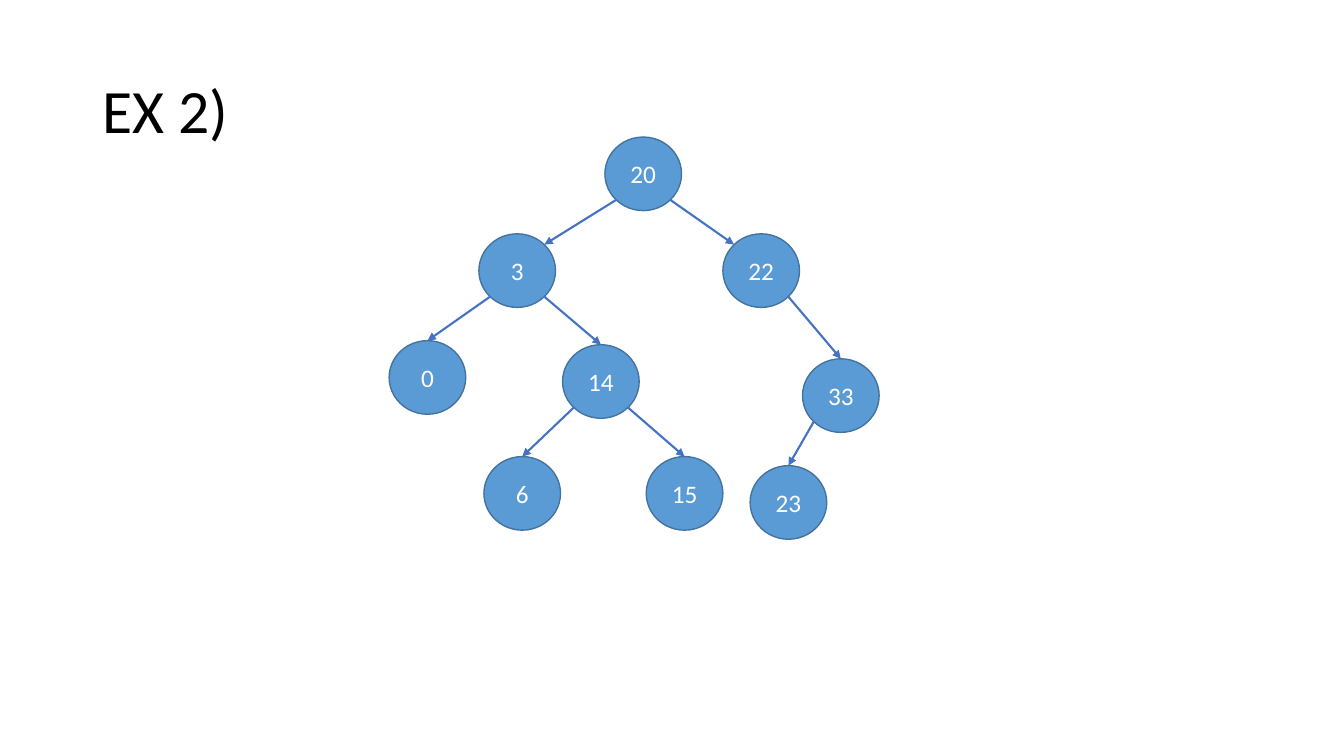
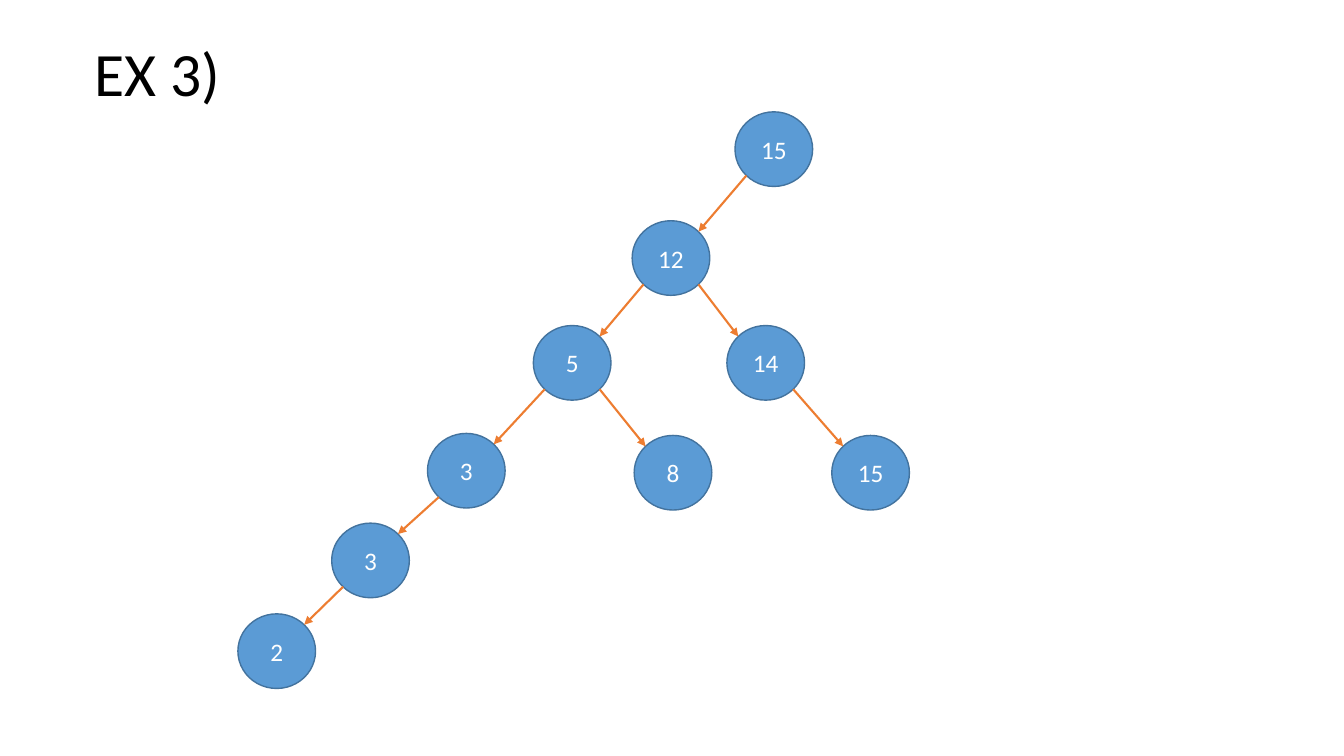
import pptx
import pptx.util
import pptx.dml.color
import pptx.enum.shapes
import pptx.enum.text
import pptx.oxml
import pptx.oxml.ns
from lxml import etree

Inches = pptx.util.Inches
Pt = pptx.util.Pt
qn = pptx.oxml.ns.qn
MIDDLE = pptx.enum.text.MSO_ANCHOR.MIDDLE
CENTER = pptx.enum.text.PP_ALIGN.CENTER
DISC = pptx.enum.shapes.MSO_SHAPE.FLOWCHART_CONNECTOR
STRAIGHT = pptx.enum.shapes.MSO_CONNECTOR.STRAIGHT

FILL, EDGE, WHITE, BLACK = "5B9BD5", "43739E", "FFFFFF", "000000"
TOP, UP_LEFT, LOW_LEFT, LOW_RIGHT, UP_RIGHT = 0, 1, 3, 5, 7
NEAR = 0.5 - 0.5 ** 1.5
FAR = 1 - NEAR
SITES = {
    TOP: (0.5, 0),
    UP_LEFT: (NEAR, NEAR),
    LOW_LEFT: (NEAR, FAR),
    LOW_RIGHT: (FAR, FAR),
    UP_RIGHT: (FAR, NEAR),
}


def color(code):
    return pptx.dml.color.RGBColor.from_string(code)


def write(shape, text, size, code):
    frame = shape.text_frame
    frame.word_wrap = True
    frame.vertical_anchor = MIDDLE
    line = frame.paragraphs[0]
    run = line.add_run()
    run.text = text
    for name, value in {"name": "Calibri", "size": Pt(size)}.items():
        setattr(run.font, name, value)
    run.font.color.rgb = color(code)
    return line


trees = [
    {
        "title": "EX 2)", "at": (0.92, 0.4), "size": (0.76, 0.73), "arrow": "4472C4",
        "nodes": [
            ("20", 6, 1.36, None, None),
            ("22", 7.17, 2.32, 0, UP_LEFT),
            ("3", 4.75, 2.32, 0, UP_RIGHT),
            ("14", 5.58, 3.42, 2, TOP),
            ("15", 6.41, 4.53, 3, TOP),
            ("6", 4.8, 4.53, 3, TOP),
            ("33", 7.96, 3.56, 1, TOP),
            ("23", 7.44, 4.62, 6, TOP),
            ("0", 3.86, 3.38, 2, TOP),
        ],
    },
    {
        "title": "EX 3)", "at": (0.84, 0.03), "size": (0.77, 0.74), "arrow": "ED7D31",
        "nodes": [
            ("15", 7.29, 1.11, None, None),
            ("12", 6.27, 2.19, 0, UP_RIGHT),
            ("5", 5.29, 3.23, 1, UP_RIGHT),
            ("14", 7.21, 3.23, 1, UP_LEFT),
            ("15", 8.25, 4.32, 3, UP_LEFT),
            ("3", 4.24, 4.3, 2, UP_RIGHT),
            ("3", 3.29, 5.19, 5, UP_RIGHT),
            ("2", 2.36, 6.09, 6, UP_RIGHT),
            ("8", 6.29, 4.32, 2, UP_LEFT),
        ],
    },
]

deck = pptx.Presentation()
deck.slide_width = Inches(13.33)
deck.slide_height = Inches(7.5)

for tree in trees:
    slide = deck.slides.add_slide(deck.slide_layouts[6])
    left, top = tree["at"]
    title = slide.shapes.add_textbox(Inches(left), Inches(top), Inches(11.5), Inches(1.45))
    write(title, tree["title"], 44, BLACK).line_spacing = 0.9

    wide, high = tree["size"]
    discs = []
    for text, x, y, _, _ in tree["nodes"]:
        disc = slide.shapes.add_shape(DISC, Inches(x), Inches(y), Inches(wide), Inches(high))
        disc.shadow.inherit = False
        disc.fill.solid()
        disc.fill.fore_color.rgb = color(FILL)
        disc.line.color.rgb = color(EDGE)
        disc.line.width = Pt(1)
        write(disc, text, 18, WHITE).alignment = CENTER
        discs.append(disc)

    for child, (_, x, _, index, site) in zip(discs, tree["nodes"]):
        if index is None:
            continue
        parent = discs[index]
        start = LOW_LEFT if child.left < parent.left else LOW_RIGHT
        ends = [("a:stCxn", parent, start), ("a:endCxn", child, site)]
        points = []
        for _, disc, spot in ends:
            across, down = SITES[spot]
            points += [int(disc.left + across * disc.width), int(disc.top + down * disc.height)]
        arrow = slide.shapes.add_connector(STRAIGHT, *points)
        arrow.line.color.rgb = color(tree["arrow"])
        arrow.line.width = Pt(1.5)
        etree.SubElement(arrow.line._get_or_add_ln(), qn("a:tailEnd"), type="triangle")
        etree.SubElement(arrow._element.spPr, qn("a:effectLst"))
        joint = arrow._element.find(".//" + qn("p:cNvCxnSpPr"))
        for tag, disc, spot in ends:
            etree.SubElement(joint, qn(tag), id=str(disc.shape_id), idx=str(spot))

deck.save("out.pptx")
